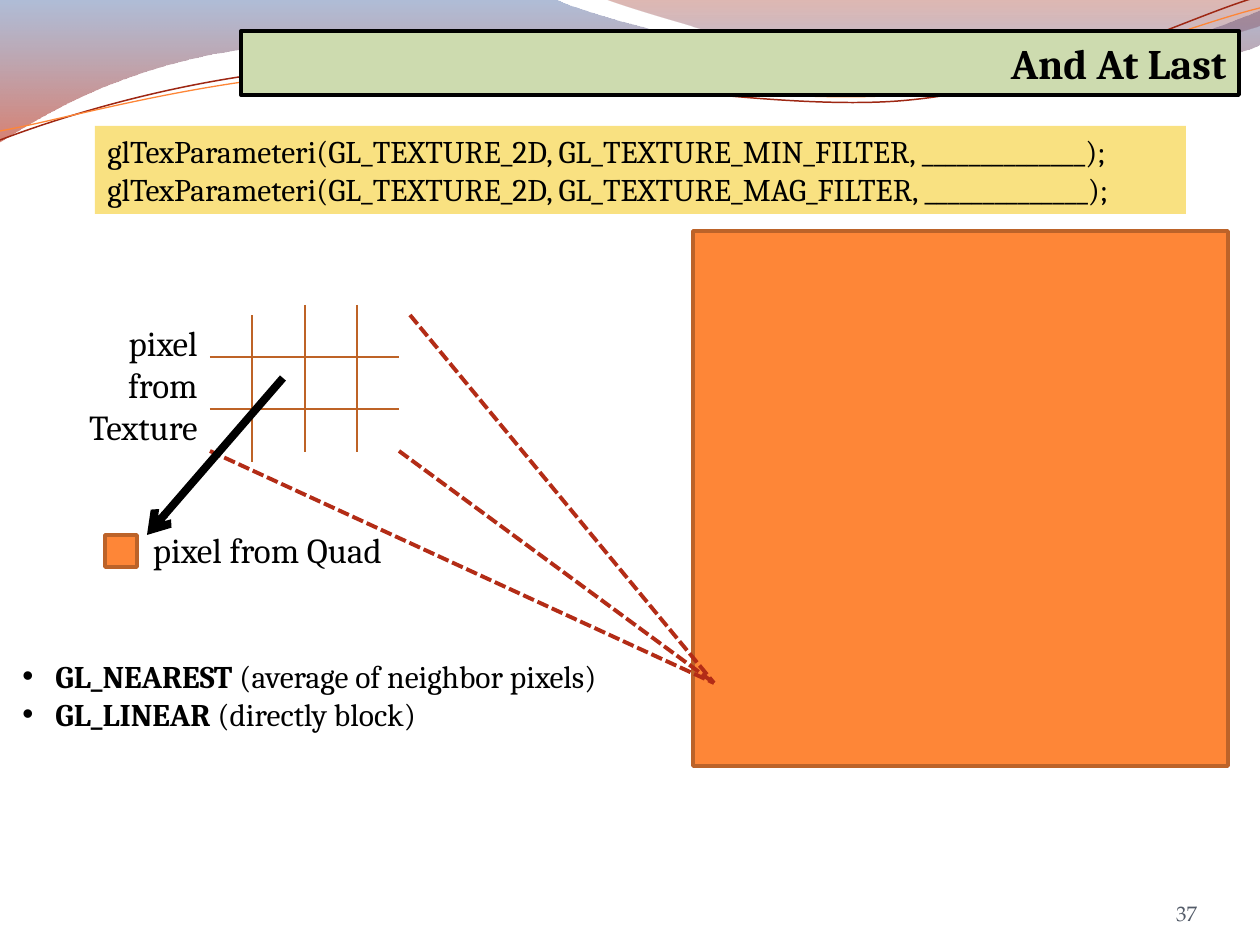
import dataclasses
import typing

import lxml.etree
import pptx
import pptx.dml.color
import pptx.enum.dml
import pptx.enum.shapes
import pptx.enum.text
import pptx.oxml.ns
import pptx.util

RGB = pptx.dml.color.RGBColor
ALIGN = pptx.enum.text.PP_ALIGN
ANCHOR = pptx.enum.text.MSO_ANCHOR
Point = tuple[int, int]

EMU_PER_PX = 914400 / 126
BODY_FONT = "Cambria"
NUMBER_FONT = "TeX Gyre Pagella"

BLACK = RGB(0x00, 0x00, 0x00)
ORANGE = RGB(0xFE, 0x86, 0x37)
ORANGE_EDGE = RGB(0xBC, 0x63, 0x29)
GRID = RGB(0xBE, 0x63, 0x26)
RED = RGB(0xB3, 0x2C, 0x16)
YELLOW = RGB(0xF9, 0xE1, 0x81)
GREEN = RGB(0xCD, 0xDB, 0xAF)
SLATE = RGB(0x53, 0x5B, 0x68)
WAVE_RED = RGB(0x9E, 0x27, 0x13)


class Stop(typing.NamedTuple):
    position: float
    color: RGB
    opacity: int


class Run(typing.NamedTuple):
    text: str
    bold: bool = False


@dataclasses.dataclass
class Wave:
    start: Point
    segments: list[tuple[Point, ...]]
    stops: tuple[Stop, ...] = ()
    color: RGB | None = None
    width: float = 0


@dataclasses.dataclass
class Block:
    area: tuple[int, int, int, int]
    paras: list[list[Run]] = dataclasses.field(default_factory=list)
    size: int = 18
    align: ALIGN = ALIGN.LEFT
    font: str = BODY_FONT
    color: RGB = BLACK
    anchor: ANCHOR = ANCHOR.TOP
    inset: bool = True
    bullets: bool = False
    fill: RGB | None = None
    edge: RGB | None = None
    edge_width: float = 0


@dataclasses.dataclass
class Stroke:
    start: Point
    end: Point
    color: RGB
    width: float
    dashed: bool = False
    arrow: bool = False


WAVES = [
    Wave((0, 0), [((554, -1),),
                  ((600, 21), (837, 79), (955, 79)),
                  ((1075, 79), (1207, 33), (1260, 11)),
                  ((1261, 45),),
                  ((1239, 55), (1096, 96), (940, 95)),
                  ((784, 95), (481, 35), (324, 43)),
                  ((163, 45), (58, 105), (-1, 142))],
         stops=(Stop(0, RGB(0x4F, 0x6E, 0xA8), 45), Stop(1, RGB(0xB6, 0x1A, 0x00), 55))),
    Wave((604, -1), [((642, 14), (859, 78), (969, 82)),
                     ((1079, 87), (1211, 40), (1260, 26)),
                     ((1260, 0),)],
         stops=(Stop(0, RGB(0x95, 0x15, 0x00), 30), Stop(0.8, RGB(0x56, 0x81, 0xD1), 45))),
    Wave((0, 140), [((60, 117), (199, 72), (349, 66)),
                    ((498, 59), (747, 112), (898, 101)),
                    ((1050, 89), (1182, 19), (1257, -3))], color=WAVE_RED, width=0.85),
    Wave((0, 131), [((59, 121), (207, 77), (357, 71)),
                    ((508, 64), (752, 106), (903, 95)),
                    ((1053, 84), (1186, 26), (1260, 8))], color=ORANGE, width=0.75),
]

QUAD = Block((693, 231, 535, 535), fill=ORANGE, edge=ORANGE_EDGE, edge_width=2)
QUAD_PIXEL = Block((105, 535, 32, 32), fill=ORANGE, edge=ORANGE_EDGE, edge_width=2)
GRID_LINES = [Stroke((x, top), (x, top + 147), GRID, 0.75)
              for x, top in ((252, 315), (305, 305), (357, 305))]
GRID_LINES += [Stroke((210, y), (399, y), GRID, 0.75) for y in (357, 409)]
PROJECTIONS = [Stroke(corner, (714, 683), RED, 2.25, dashed=True)
               for corner in ((410, 315), (210, 451), (399, 451))]
PIXEL_ARROW = Stroke((283, 378), (147, 535), BLACK, 4.5, arrow=True)

LABELS = [
    Block((115, 522, 305, 55), [[Run("pixel from Quad")]], 20, ALIGN.CENTER),
    Block((42, 315, 168, 140), [[Run("pixel from Texture")]], 20, ALIGN.RIGHT),
    Block((10, 651, 640, 89),
          [[Run("GL_NEAREST ", True), Run("(average of neighbor pixels)")],
           [Run("GL_LINEAR ", True), Run("(directly block)")]], bullets=True),
]
CODE = Block((95, 126, 1091, 88),
             [[Run(f"glTexParameteri(GL_TEXTURE_2D, GL_TEXTURE_{name}_FILTER, ______________);")]
              for name in ("MIN", "MAG")], anchor=ANCHOR.MIDDLE, fill=YELLOW)
TITLE = Block((241, 31, 998, 64), [[Run("And At Last", True)]], 24, ALIGN.RIGHT,
              anchor=ANCHOR.MIDDLE, fill=GREEN, edge=BLACK, edge_width=2.25)
PAGE_NUMBER = Block((1092, 876, 105, 50), [[Run("37")]], 12, ALIGN.RIGHT, NUMBER_FONT,
                    SLATE, ANCHOR.BOTTOM, inset=False)


def px(value: float) -> pptx.util.Emu:
    return pptx.util.Emu(round(value * EMU_PER_PX))


def add_element(parent, tag: str, **attributes: str):
    return lxml.etree.SubElement(parent, pptx.oxml.ns.qn(tag), attributes)


def bend_segments(shape, segments: list[tuple[Point, ...]]) -> None:
    lines = iter(list(shape._element.iter(pptx.oxml.ns.qn("a:lnTo"))))
    for segment in segments:
        parts = [next(lines) for _ in segment]
        if len(parts) == 3:
            curve = pptx.oxml.ns.qn("a:cubicBezTo")
            bend = lxml.etree.Element(curve)
            parts[0].addprevious(bend)
            for part in parts:
                bend.append(part[0])
                part.getparent().remove(part)


def draw_wave(page, wave: Wave) -> None:
    builder = page.shapes.build_freeform(px(wave.start[0]), px(wave.start[1]))
    builder.add_line_segments([(px(x), px(y)) for segment in wave.segments for x, y in segment],
                              close=False)
    shape = builder.convert_to_shape()
    bend_segments(shape, wave.segments)
    shape.shadow.inherit = False
    if not wave.stops:
        shape.fill.background()
        shape.line.color.rgb = wave.color
        shape.line.width = pptx.util.Pt(wave.width)
        return
    outline = next(shape._element.iter(pptx.oxml.ns.qn("a:path")))
    add_element(outline, "a:close")
    shape.line.fill.background()
    shape.fill.gradient()
    shape.fill.gradient_angle = 270
    for target, stop in zip(shape.fill.gradient_stops, wave.stops):
        target.color.rgb = stop.color
        target.position = stop.position
    colors = shape._element.spPr.iter(pptx.oxml.ns.qn("a:srgbClr"))
    for color, stop in zip(list(colors), wave.stops):
        add_element(color, "a:alpha", val=str(stop.opacity * 1000))


def draw_block(page, block: Block) -> None:
    area = [px(value) for value in block.area]
    if block.fill is None:
        box = page.shapes.add_textbox(*area)
    else:
        box = page.shapes.add_shape(pptx.enum.shapes.MSO_SHAPE.RECTANGLE, *area)
        box.shadow.inherit = False
        box.fill.solid()
        box.fill.fore_color.rgb = block.fill
        if block.edge is None:
            box.line.fill.background()
        else:
            box.line.color.rgb = block.edge
            box.line.width = pptx.util.Pt(block.edge_width)
    frame = box.text_frame
    frame.word_wrap = True
    frame.vertical_anchor = block.anchor
    if not block.inset:
        frame.margin_left = frame.margin_right = frame.margin_top = frame.margin_bottom = 0
    for index, runs in enumerate(block.paras):
        para = frame.add_paragraph() if index else frame.paragraphs[0]
        para.alignment = block.align
        if block.bullets:
            properties = para._p.get_or_add_pPr()
            properties.set("marL", str(px(33)))
            properties.set("indent", str(px(-33)))
            add_element(properties, "a:buFont", typeface="Arial")
            add_element(properties, "a:buChar", char="•")
        for run in runs:
            span = para.add_run()
            span.text = run.text
            span.font.name = block.font
            span.font.size = pptx.util.Pt(block.size)
            span.font.bold = run.bold
            span.font.color.rgb = block.color


def draw_stroke(page, stroke: Stroke) -> None:
    line = page.shapes.add_connector(pptx.enum.shapes.MSO_CONNECTOR.STRAIGHT,
                                     *(px(value) for value in stroke.start + stroke.end))
    line.line.color.rgb = stroke.color
    line.line.width = pptx.util.Pt(stroke.width)
    if stroke.dashed:
        line.line.dash_style = pptx.enum.dml.MSO_LINE.SQUARE_DOT
    if stroke.arrow:
        add_element(line.line._get_or_add_ln(), "a:tailEnd", type="arrow")
    add_element(line._element.spPr, "a:effectLst")


def main() -> None:
    deck = pptx.Presentation()
    deck.slide_width, deck.slide_height = px(1260), px(945)
    page = deck.slides.add_slide(deck.slide_layouts[6])
    for wave in WAVES:
        draw_wave(page, wave)
    draw_block(page, QUAD)
    for stroke in GRID_LINES + PROJECTIONS:
        draw_stroke(page, stroke)
    for block in (QUAD_PIXEL, *LABELS):
        draw_block(page, block)
    draw_stroke(page, PIXEL_ARROW)
    for block in (CODE, TITLE, PAGE_NUMBER):
        draw_block(page, block)
    deck.save("out.pptx")


if __name__ == "__main__":
    main()
